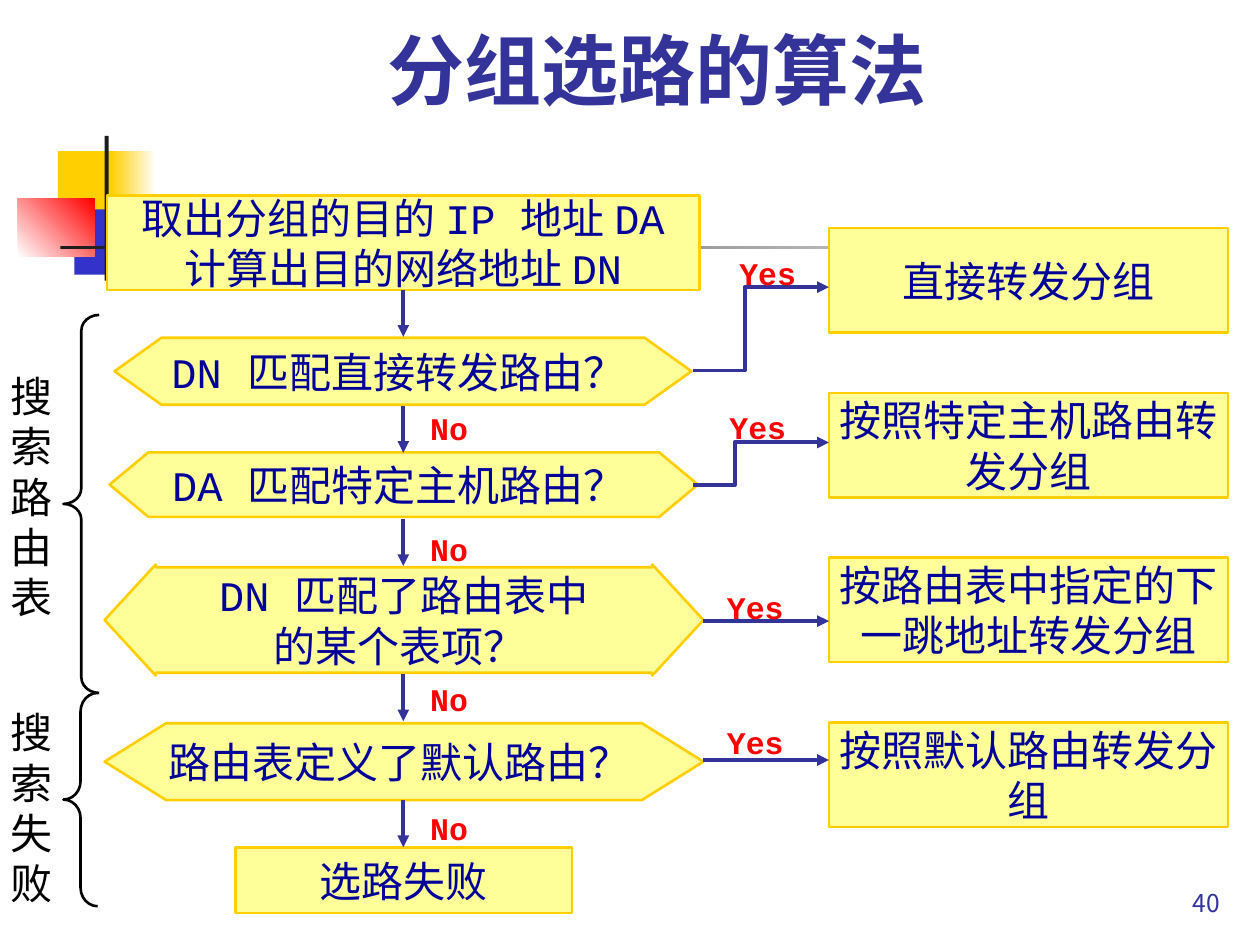
from lxml import etree
from pptx import Presentation
from pptx import util as u
from pptx.dml.color import RGBColor
from pptx.enum import shapes, text
from pptx.oxml.ns import qn

COLORS = {
    "yellow": "FFCF01", "blue": "3333CC", "red": "FF0000", "white": "FFFFFF",
    "dark": "1C1C1C", "indigo": "333399", "navy": "000099", "cream": "FFFF99",
    "black": "000000",
}
RGB = {name: RGBColor.from_string(value) for name, value in COLORS.items()}
HAN_FONT = "Noto Sans CJK SC"
STEP = {"size": u.Pt(24), "name": "Courier New", "bold": False}
ANSWER = {"size": u.Pt(18), "name": "Courier New", "bold": True}
TITLE = {"size": u.Pt(44), "name": "Noto Sans CJK JP", "bold": True}
NUMBER = {"size": u.Pt(14), "name": "Noto Sans CJK JP", "bold": False}

deck = Presentation()
deck.slide_width, deck.slide_height = u.Cm(25.4), u.Cm(19.05)
slide = deck.slides.add_slide(deck.slide_layouts[6])
canvas = slide.shapes


def write(holder, words, look, color, wrap=True, anchor=text.MSO_ANCHOR.MIDDLE,
          align=text.PP_ALIGN.CENTER):
    """Fill a shape with centred text; wrapped text gets no insets."""
    frame = holder.text_frame
    frame.text = words
    settings = {"word_wrap": wrap, "vertical_anchor": anchor}
    if wrap:
        settings.update(dict.fromkeys(
            ("margin_left", "margin_top", "margin_right", "margin_bottom"), 0))
    for key, value in settings.items():
        setattr(frame, key, value)
    for paragraph in frame.paragraphs:
        paragraph.alignment = align
        if look is STEP:
            paragraph.line_spacing = u.Pt(28.8)
        for run in paragraph.runs:
            for key, value in look.items():
                setattr(run.font, key, value)
            run.font.color.rgb = RGB[color]
            latin = run.font._element.find(qn("a:latin"))
            han = etree.Element(qn("a:ea"), typeface=HAN_FONT)
            latin.addnext(han)


def draw_arrow(points):
    """Join points in cm, with an arrowhead at the last one."""
    places = [(u.Cm(x), u.Cm(y)) for x, y in points]
    if len(places) == 2:
        arrow = canvas.add_connector(shapes.MSO_CONNECTOR.STRAIGHT, *places[0], *places[1])
    else:
        builder = canvas.build_freeform(*places[0])
        builder.add_line_segments(places[1:], close=False)
        arrow = builder.convert_to_shape()
        arrow.fill.background()
    arrow.line.color.rgb = RGB["indigo"]
    arrow.line.width = u.Pt(2.25)
    properties = arrow.element.spPr
    etree.SubElement(properties.find(qn("a:ln")), qn("a:tailEnd"), type="triangle")
    etree.SubElement(properties, qn("a:effectLst"))


# Corner ornament: place, start colour, end colour, angle
ornament = [
    ((1.17, 3.05, 1.22, 1.32), "yellow", None, 0),
    ((2.24, 3.05, 0.91, 1.32), "yellow", "white", 0),
    ((1.5, 4.22, 1.17, 1.32), "blue", None, 0),
    ((0.36, 4.01, 1.55, 1.17), "white", "red", 45),
    ((2.11, 2.74, 0.08, 2.92), "dark", None, 0),
    ((1.22, 4.95, 22.86, 0.08), "dark", "white", 0),
]
for place, start, end, angle in ornament:
    patch = canvas.add_shape(shapes.MSO_SHAPE.RECTANGLE, *map(u.Cm, place))
    patch.shadow.inherit = False
    patch.line.fill.background()
    if end:
        patch.fill.gradient()
        patch.fill.gradient_angle = angle
        for stop, color in zip(patch.fill.gradient_stops, (start, end)):
            stop.color.rgb = RGB[color]
    else:
        patch.fill.solid()
        patch.fill.fore_color.rgb = RGB[start]

# Title, page number and the names of the two phases
bottom = text.MSO_ANCHOR.BOTTOM
title = canvas.add_textbox(*map(u.Cm, (4.95, 0, 16.59, 2.31)))
write(title, "分组选路的算法", TITLE, "indigo", anchor=bottom)
page_number = canvas.add_textbox(*map(u.Cm, (19.56, 17.35, 5.03, 1.14)))
write(page_number, "40", NUMBER, "indigo", anchor=bottom, align=text.PP_ALIGN.RIGHT)

# Phases: name, name top and height, brace top, width and height, curl
phases = [
    ("搜索路由表", 6.17, 7.67, 6.35, 0.72, 7.62, 0.44),
    ("搜索失败", 14.12, 4.32, 13.97, 0.69, 4.3, 0.54),
]
for name, top, height, brace_top, brace_width, brace_height, curl in phases:
    phase = canvas.add_textbox(0, u.Cm(top), u.Cm(1.27), u.Cm(height))
    write(phase, name, STEP, "black")
    brace = canvas.add_shape(shapes.MSO_SHAPE.LEFT_BRACE, u.Cm(1.28), u.Cm(brace_top),
                             u.Cm(brace_width), u.Cm(brace_height))
    brace.adjustments[0] = curl
    brace.shadow.inherit = False
    brace.fill.background()
    brace.line.color.rgb = RGB["black"]
    brace.line.width = u.Pt(1.5)

# Flow boxes: words, place, arrow adjustments of a question
boxes = [
    ("取出分组的目的 IP 地址 DA\n计算出目的网络地址 DN", (2.16, 3.94, 11.94, 1.91), None),
    ("DN 匹配直接转发路由？ ", (2.31, 6.81, 11.63, 1.35), (1, 0.7)),
    ("DA 匹配特定主机路由？ ", (2.21, 9.12, 11.86, 1.3), (1, 0.6)),
    ("DN 匹配了路由表中\n的某个表项？ ", (2.11, 11.38, 12.07, 2.24), (0.95, 0.46)),
    ("路由表定义了默认路由？ ", (2.11, 14.58, 12.07, 1.55), (1, 0.8)),
    ("选路失败", (4.75, 17.09, 6.78, 1.32), None),
]
outcomes = ["直接转发分组", "按照特定主机路由转发分组",
            "按路由表中指定的下一跳地址转发分组", "按照默认路由转发分组"]
boxes += [(words, (16.71, 4.6 + 3.32 * row, 8.05, 2.11), None)
          for row, words in enumerate(outcomes)]
for words, place, question in boxes:
    preset = shapes.MSO_SHAPE.LEFT_RIGHT_ARROW if question else shapes.MSO_SHAPE.RECTANGLE
    box = canvas.add_shape(preset, *map(u.Cm, place))
    for index, value in enumerate(question or ()):
        box.adjustments[index] = value
    box.shadow.inherit = False
    box.fill.solid()
    box.fill.fore_color.rgb = RGB["cream"]
    box.line.color.rgb = RGB["yellow"]
    box.line.width = u.Pt(1.5)
    write(box, words, STEP, "navy", wrap=not question)

# Arrows down the flow and out to the outcomes
for top in (5.84, 8.18, 10.46, 13.59, 16.13):
    draw_arrow([(8.13, top), (8.13, top + 0.95)])
for start, turn, end in ((7.47, 15.01, 5.79), (9.78, 14.81, 8.92)):
    draw_arrow([(13.97, start), (turn, start), (turn, end), (16.71, end)])
for level in (12.52, 15.32):
    draw_arrow([(14.17, level), (16.71, level)])

answers = [("No", 8.13, top) for top in (8.1, 10.55, 13.56, 16.18)]
answers += [("Yes", 14.55, 4.98), ("Yes", 14.35, 8.08),
            ("Yes", 14.3, 11.71), ("Yes", 14.3, 14.43)]
for words, left, top in answers:
    answer = canvas.add_textbox(u.Cm(left), u.Cm(top), u.Cm(1.85), u.Cm(1.04))
    write(answer, words, ANSWER, "red", wrap=False)

deck.save("out.pptx")
